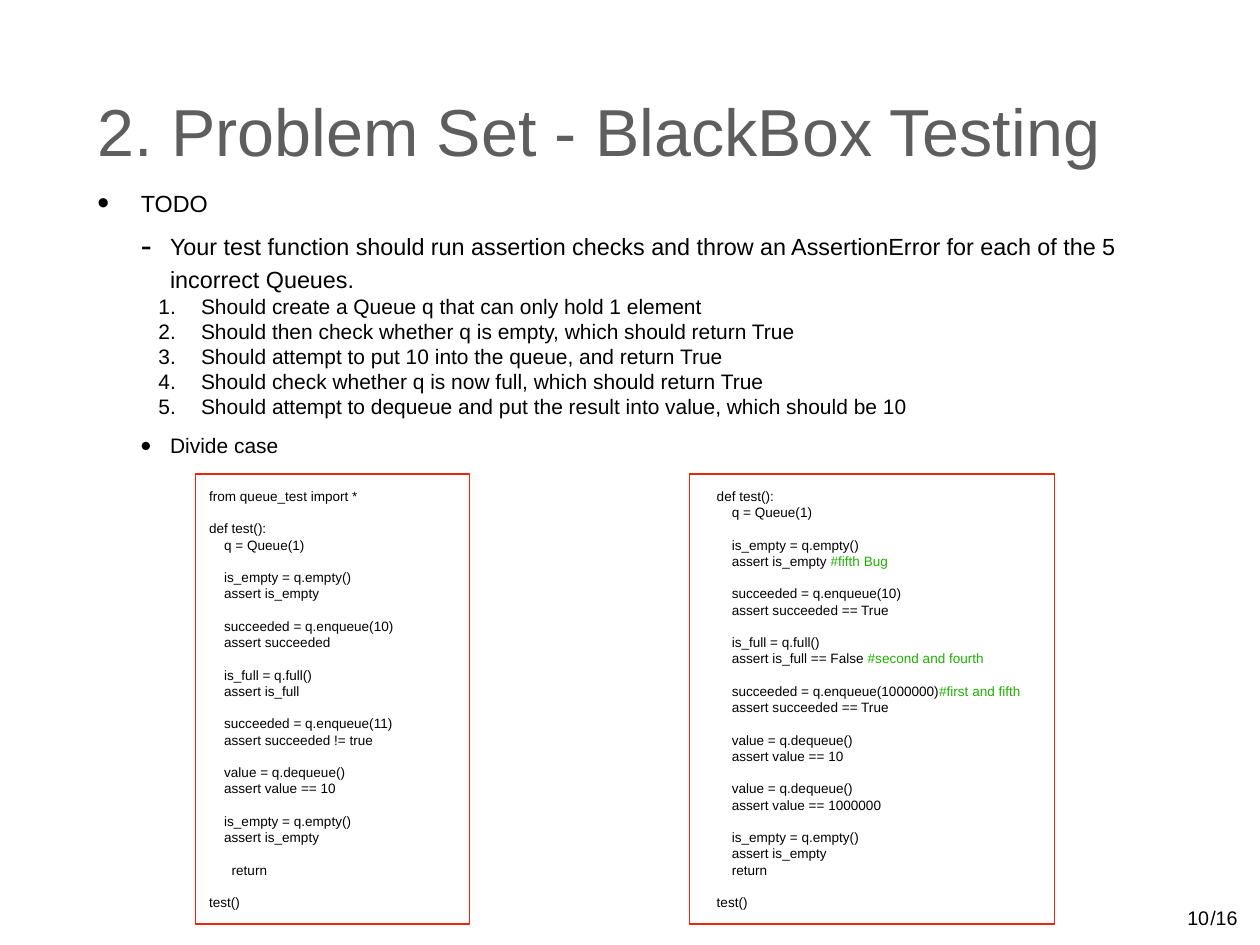
from pptx import Presentation
from pptx.dml.color import RGBColor
from pptx.enum.shapes import MSO_SHAPE
from pptx.enum.text import MSO_ANCHOR, MSO_AUTO_SIZE, PP_ALIGN
from pptx.oxml.ns import qn
from pptx.util import Pt
from lxml.etree import SubElement

HUES = {"title": "5E5E5E", "text": "000000", "note": "1EB001", "frame": "EE230C"}
FONT = "Arial"
INSET = 4.3

TITLE = "2. Problem Set - BlackBox Testing"

# look of each list level: level, left indent, hang, size, line pitch, space before, bullet
LOOKS = {
    "head": (0, 35.3, 35.3, 19, 23, 0, "•"),
    "dash": (1, 59, 23.8, 19, 27, 8, "-"),
    "step": (1, 84.2, 34.6, 17, 20.3, 0, None),
    "dot": (1, 59, 23.8, 17, 24.4, 8, "•"),
}
ITEMS = [
    ("head", "TODO"),
    ("dash", "Your test function should run assertion checks and throw an "
             "AssertionError for each of the 5 incorrect Queues."),
    ("step", "Should create a Queue q that can only hold 1 element"),
    ("step", "Should then check whether q is empty, which should return True"),
    ("step", "Should attempt to put 10 into the queue, and return True"),
    ("step", "Should check whether q is now full, which should return True"),
    ("step", "Should attempt to dequeue and put the result into value, "
             "which should be 10"),
    ("dot", "Divide case"),
]

# each inner list is a block of code; blocks are set apart by one line
LEFT = [
    ["from queue_test import *"],
    ["def test():", "    q = Queue(1)"],
    ["    is_empty = q.empty()", "    assert is_empty"],
    ["    succeeded = q.enqueue(10)", "    assert succeeded"],
    ["    is_full = q.full()", "    assert is_full"],
    ["    succeeded = q.enqueue(11)", "    assert succeeded != true"],
    ["    value = q.dequeue()", "    assert value == 10"],
    ["    is_empty = q.empty()", "    assert is_empty"],
    ["      return"],
    ["test()"],
]
RIGHT = [
    ["def test():", "    q = Queue(1)"],
    ["    is_empty = q.empty()", "    assert is_empty #fifth Bug"],
    ["    succeeded = q.enqueue(10)", "    assert succeeded == True"],
    ["    is_full = q.full()", "    assert is_full == False #second and fourth"],
    ["    succeeded = q.enqueue(1000000)#first and fifth",
     "    assert succeeded == True"],
    ["    value = q.dequeue()", "    assert value == 10"],
    ["    value = q.dequeue()", "    assert value == 1000000"],
    ["    is_empty = q.empty()", "    assert is_empty", "    return"],
    ["test()"],
]
# code, frame left, frame width, text left, text width
PANELS = [(LEFT, 159.1, 222.5, 165.6, 209.5), (RIGHT, 560.2, 296.6, 578.2, 259.2)]
FRAME_TOP, FRAME_TALL = 385.2, 365.8
CODE_TOP, CODE_TALL = 408.2, 320
CODE_SIZE, CODE_LINE, SPACE = 11, 13.2, 3.06

# text, left, width
PAGES = [("10", 960.5, 26.6), ("/16", 978.5, 32.4)]
PAGE_TOP, PAGE_TALL, PAGE_SIZE = 733, 25.2, 16


def place(shape, x, y, w, h):
    """Move and size a shape, in points."""
    shape.left, shape.top, shape.width, shape.height = Pt(x), Pt(y), Pt(w), Pt(h)


def setup(frame, anchor=MSO_ANCHOR.MIDDLE, top=INSET, wrap=True):
    """Set insets, anchor and wrapping of a text frame."""
    frame.auto_size = MSO_AUTO_SIZE.NONE
    frame.word_wrap = wrap
    frame.vertical_anchor = anchor
    frame.margin_left = frame.margin_right = frame.margin_bottom = Pt(INSET)
    frame.margin_top = Pt(top)


def write(para, text, size=11, hue="text", align=PP_ALIGN.LEFT, line=None, before=0):
    """Add formatted text to a paragraph."""
    run = para.add_run()
    run.text = text
    run.font.name = FONT
    run.font.size = Pt(size)
    run.font.color.rgb = RGBColor.from_string(HUES[hue])
    para.alignment = align
    para.space_before = Pt(before)
    if line:
        para.line_spacing = Pt(line)


def indent(para, left, hang=0):
    """Set the left and hanging indents of a paragraph."""
    props = para._p.get_or_add_pPr()
    props.set("marL", str(Pt(left)))
    props.set("indent", str(-Pt(hang)))
    return props


def bullet(props, sign):
    """Add a bullet sign, or a number when there is none."""
    if sign:
        SubElement(props, qn("a:buSzPct"), val="145000")
        SubElement(props, qn("a:buFont"), typeface=FONT)
        SubElement(props, qn("a:buChar"), char=sign)
    else:
        SubElement(props, qn("a:buFont"), typeface=FONT)
        SubElement(props, qn("a:buAutoNum"), type="arabicPeriod")


def paras(frame, count):
    """Return the given number of paragraphs in an empty frame."""
    return [frame.paragraphs[0]] + [frame.add_paragraph() for _ in range(count - 1)]


def panel(slide, code, x, w, text_x, text_w):
    """Draw a code listing inside its frame, as a group."""
    shapes = slide.shapes.add_group_shape().shapes
    box = shapes.add_textbox(0, 0, 0, 0)
    place(box, text_x, CODE_TOP, text_w, CODE_TALL)
    setup(box.text_frame)
    rows = [(row, n > 0 and i == 0) for n, block in enumerate(code)
            for i, row in enumerate(block)]
    for para, (row, gap) in zip(paras(box.text_frame, len(rows)), rows):
        body = row.lstrip()
        main, mark, note = body.partition("#")
        form = dict(size=CODE_SIZE, line=CODE_LINE, before=CODE_LINE if gap else 0)
        write(para, main, **form)
        if mark:
            write(para, mark + note, hue="note", **form)
        indent(para, (len(row) - len(body)) * SPACE)
    edge = shapes.add_shape(MSO_SHAPE.RECTANGLE, 0, 0, 0, 0)
    place(edge, x, FRAME_TOP, w, FRAME_TALL)
    edge.shadow.inherit = False
    edge.fill.background()
    edge.line.color.rgb = RGBColor.from_string(HUES["frame"])
    edge.line.width = Pt(1)


deck = Presentation()
deck.slide_width, deck.slide_height = Pt(1024), Pt(768)
slide = deck.slides.add_slide(deck.slide_layouts[1])

title, body = slide.placeholders
place(title, 74.9, 20.2, 874, 170)
setup(title.text_frame)
write(title.text_frame.paragraphs[0], TITLE, size=54, hue="title")

place(body, 74.9, 153.4, 874, 221.8)
setup(body.text_frame, anchor=MSO_ANCHOR.TOP, top=0)
for para, (kind, text) in zip(paras(body.text_frame, len(ITEMS)), ITEMS):
    level, left, hang, size, line, before, sign = LOOKS[kind]
    para.level = level
    write(para, text, size=size, line=line, before=before)
    bullet(indent(para, left, hang), sign)

for spot in PANELS:
    panel(slide, *spot)

for text, x, w in PAGES:
    box = slide.shapes.add_textbox(0, 0, 0, 0)
    place(box, x, PAGE_TOP, w, PAGE_TALL)
    setup(box.text_frame, wrap=False)
    write(box.text_frame.paragraphs[0], text, size=PAGE_SIZE, align=PP_ALIGN.CENTER)

deck.save("out.pptx")
